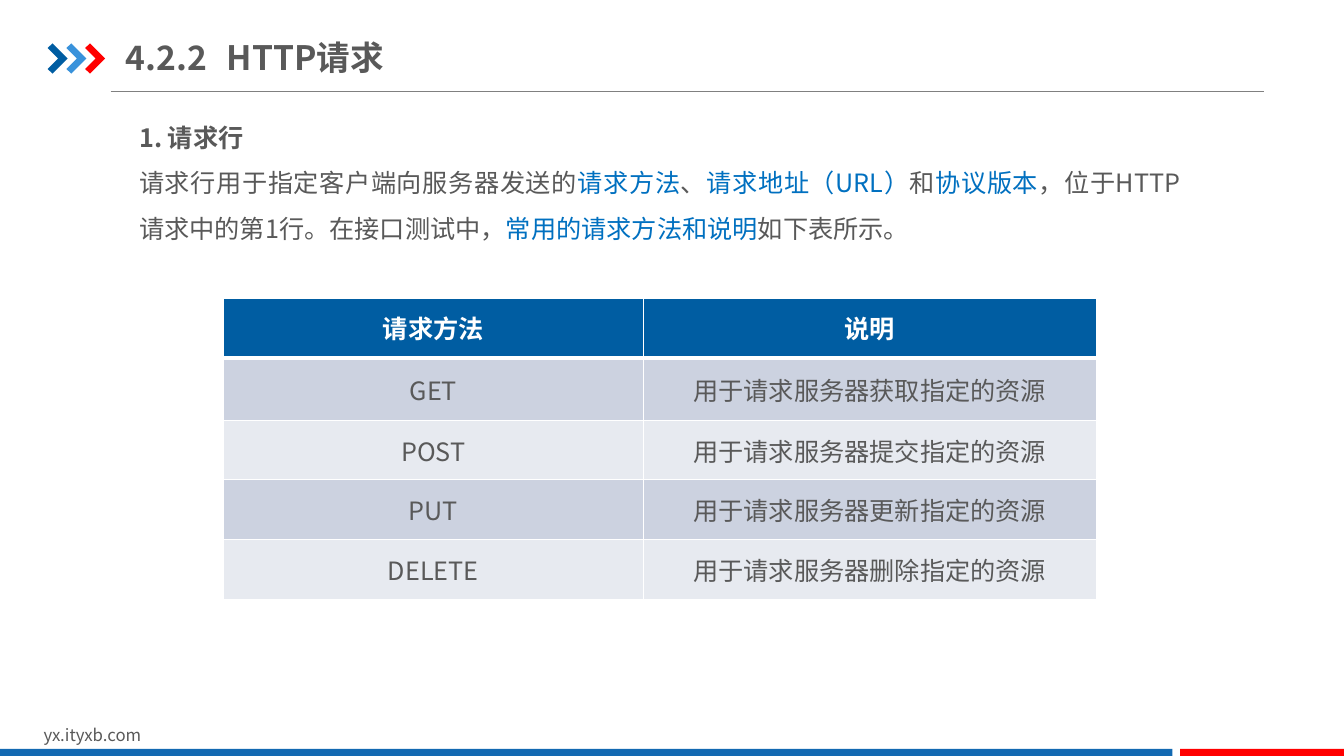
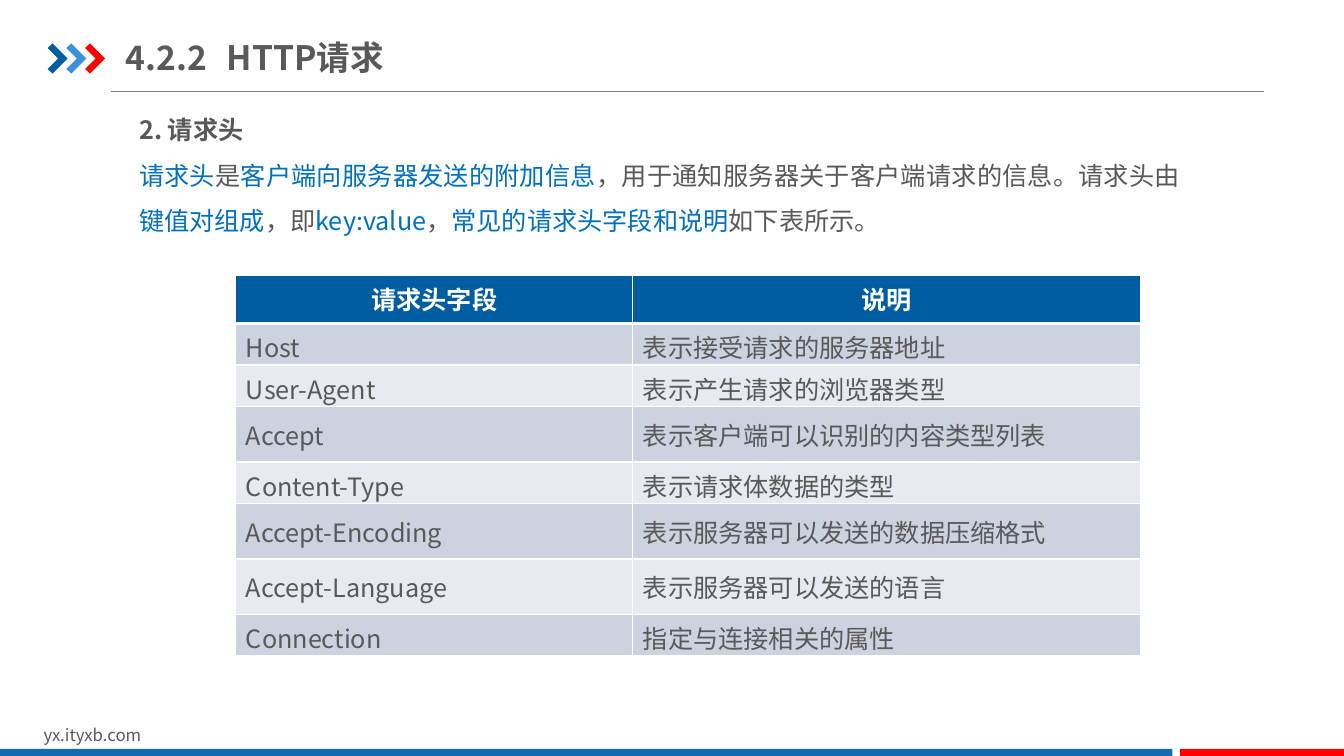
from dataclasses import dataclass

from lxml import etree
from pptx import Presentation
from pptx.dml.color import RGBColor
from pptx.enum import shapes, text
from pptx.oxml.ns import qn
from pptx.util import Pt


@dataclass(frozen=True)
class Theme:
    font: str = "Noto Sans CJK SC"
    title_size: int = 24
    body_size: int = 18
    footer_size: int = 12
    ink: str = "595959"
    accent: str = "0070C0"
    rule: str = "808080"
    white: str = "FFFFFF"
    header: str = "005DA2"
    bands: tuple = ("CCD2E0", "E7EAF0")
    chevrons: tuple = ("005DA2", "3992DB", "FF0000")
    footer_blue: str = "1369B2"
    footer_red: str = "FF0000"


def rgb(code):
    return RGBColor.from_string(code)


class Deck:
    CHEVRON = [(0, 3.3), (3.6, 0), (14.4, 10.8), (3.6, 21.6), (0, 18.3), (7.6, 10.8)]

    def __init__(self, theme):
        self.theme = theme
        self.prs = Presentation()
        self.prs.slide_width, self.prs.slide_height = Pt(960), Pt(540)
        self.slide = None

    def new_slide(self, title):
        """Add a slide with its title, rule, chevrons and footer."""
        self.slide = self.prs.slides.add_slide(self.prs.slide_layouts[6])
        self.rule(79, 903, 65.5)
        for i, color in enumerate(self.theme.chevrons):
            self.chevron(34 + 13.4 * i, 31, color)
        footer = self.textbox(24, 514, 229, 21.8)
        footer.text = "yx.ityxb.com"
        self.style(footer.paragraphs[0].runs[0], self.theme.footer_size)
        self.bar(0, 837.5, self.theme.footer_blue)
        self.bar(843, 117, self.theme.footer_red)
        self.title(title)

    def style(self, run, size, color=None, bold=False):
        font = run.font
        font.name, font.size, font.bold = self.theme.font, Pt(size), bold
        font.color.rgb = rgb(color or self.theme.ink)
        east_asian = etree.Element(qn("a:ea"), typeface=self.theme.font)
        font._element.find(qn("a:latin")).addnext(east_asian)

    def paint(self, shape, color):
        shape.shadow.inherit = False
        shape.fill.solid()
        shape.fill.fore_color.rgb = rgb(color)
        shape.line.fill.background()

    def rule(self, left, right, y):
        line = self.slide.shapes.add_connector(
            shapes.MSO_CONNECTOR.STRAIGHT, Pt(left), Pt(y), Pt(right), Pt(y))
        line.line.color.rgb = rgb(self.theme.rule)
        line.line.width = Pt(0.75)
        etree.SubElement(line._element.spPr, qn("a:effectLst"))

    def chevron(self, left, top, color):
        outline = [(Pt(left + x), Pt(top + y)) for x, y in self.CHEVRON]
        builder = self.slide.shapes.build_freeform(*outline[0])
        builder.add_line_segments(outline[1:], close=True)
        self.paint(builder.convert_to_shape(), color)

    def bar(self, left, width, color):
        """Draw one part of the band along the bottom edge."""
        self.paint(self.slide.shapes.add_shape(
            shapes.MSO_SHAPE.RECTANGLE, Pt(left), Pt(535), Pt(width), Pt(5)), color)

    def textbox(self, left, top, width, height, inset_x=7.2, inset_y=3.6):
        frame = self.slide.shapes.add_textbox(
            Pt(left), Pt(top), Pt(width), Pt(height)).text_frame
        frame.word_wrap = True
        frame.margin_left = frame.margin_right = Pt(inset_x)
        frame.margin_top = frame.margin_bottom = Pt(inset_y)
        return frame

    def title(self, title):
        frame = self.textbox(90, 21, 307, 39.6, 0, 5)
        frame.vertical_anchor = text.MSO_ANCHOR.MIDDLE
        frame.text = title
        paragraph = frame.paragraphs[0]
        paragraph._p.get_or_add_pPr().set("defTabSz", str(Pt(72)))
        self.style(paragraph.runs[0], self.theme.title_size, bold=True)

    def intro(self, top, heading, body):
        """Write a heading and a body; text between bars takes the accent colour."""
        frame = self.textbox(90, top, 762.5, 108, 9.4, 5)
        frame.auto_size = text.MSO_AUTO_SIZE.SHAPE_TO_FIT_TEXT
        frame.text = heading
        self.style(frame.paragraphs[0].runs[0], self.theme.body_size, bold=True)
        sentence = frame.add_paragraph()
        for i, part in enumerate(body.split("|")):
            if part:
                run = sentence.add_run()
                run.text = part
                self.style(run, self.theme.body_size,
                           self.theme.accent if i % 2 else self.theme.ink)
        for paragraph in frame.paragraphs:
            paragraph.alignment = text.PP_ALIGN.JUSTIFY
            paragraph.line_spacing = 1.5

    def borders(self, cell, **widths):
        for side in "LRTB":
            line = etree.SubElement(cell._tc.get_or_add_tcPr(), qn(f"a:ln{side}"),
                                    w=str(Pt(widths.get(side, 1))))
            fill = etree.SubElement(line, qn("a:solidFill"))
            etree.SubElement(fill, qn("a:srgbClr"), val=self.theme.white)

    def table(self, left, top, widths, heights, rows, align):
        table = self.slide.shapes.add_table(
            len(rows), len(widths), Pt(left), Pt(top),
            Pt(sum(widths)), Pt(sum(heights))).table
        for column, width in zip(table.columns, widths):
            column.width = Pt(width)
        for i, (height, row) in enumerate(zip(heights, rows)):
            table.rows[i].height = Pt(height)
            for j, words in enumerate(row):
                self.cell(table.cell(i, j), i, words, height, align)

    def cell(self, cell, row, words, height, align):
        is_header = row == 0
        cell.text = words
        cell.vertical_anchor = text.MSO_ANCHOR.MIDDLE
        if height < 33:  # a low row has no room below its line
            cell.margin_bottom = 0
        paragraph = cell.text_frame.paragraphs[0]
        paragraph.alignment = text.PP_ALIGN.CENTER if is_header else align
        if is_header:
            paragraph.line_spacing = 0.9
            self.borders(cell, B=3)
        else:
            self.borders(cell, T=3 if row == 1 else 1)
        self.style(paragraph.runs[0], self.theme.body_size,
                   self.theme.white if is_header else self.theme.ink, is_header)
        cell.fill.solid()
        cell.fill.fore_color.rgb = rgb(
            self.theme.header if is_header else self.theme.bands[(row - 1) % 2])


def main():
    deck = Deck(Theme())
    section = "4.2.2\tHTTP请求"

    deck.new_slide(section)
    deck.intro(71.5, "1. 请求行",
               "请求行用于指定客户端向服务器发送的|请求方法|、|请求地址（URL）|和|协议版本|"
               "，位于HTTP请求中的第1行。在接口测试中，|常用的请求方法和说明|如下表所示。")
    methods = [("请求方法", "说明"),
               ("GET", "用于请求服务器获取指定的资源"),
               ("POST", "用于请求服务器提交指定的资源"),
               ("PUT", "用于请求服务器更新指定的资源"),
               ("DELETE", "用于请求服务器删除指定的资源")]
    deck.table(159.5, 213.3, (300, 323.5), (42.2, 45, 42, 42.8, 43), methods,
               text.PP_ALIGN.CENTER)

    deck.new_slide(section)
    deck.intro(66, "2. 请求头",
               "|请求头|是|客户端向服务器发送的附加信息|，用于通知服务器关于客户端请求的信息。"
               "请求头由|键值对组成|，即|key:value|，|常见的请求头字段和说明|如下表所示。")
    fields = [("请求头字段", "说明"),
              ("Host", "表示接受请求的服务器地址"),
              ("User-Agent", "表示产生请求的浏览器类型"),
              ("Accept", "表示客户端可以识别的内容类型列表"),
              ("Content-Type", "表示请求体数据的类型"),
              ("Accept-Encoding", "表示服务器可以发送的数据压缩格式"),
              ("Accept-Language", "表示服务器可以发送的语言"),
              ("Connection", "指定与连接相关的属性")]
    low, high = 29.7, 39.6
    deck.table(168.5, 196.5, (283.5, 362.5),
               (34.5, low, low, high, low, high, high, low), fields,
               text.PP_ALIGN.LEFT)

    deck.prs.save("out.pptx")


if __name__ == "__main__":
    main()
